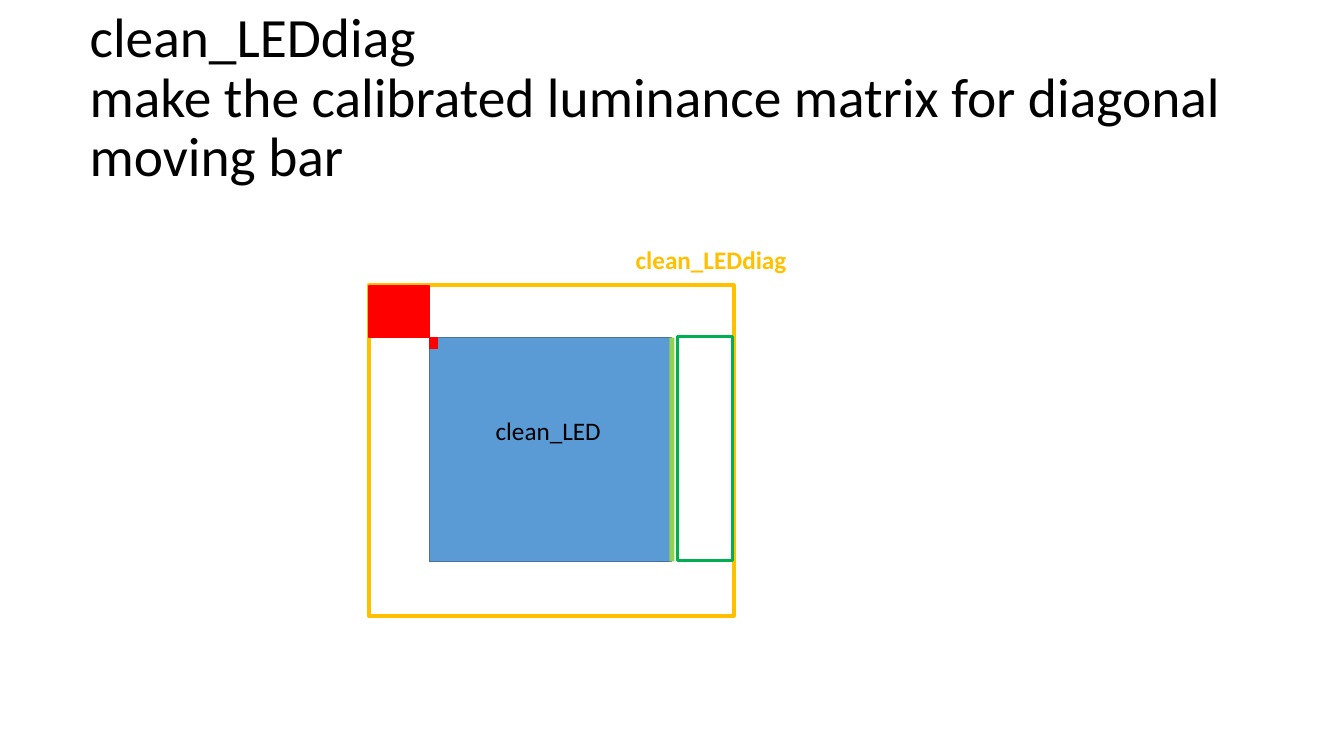
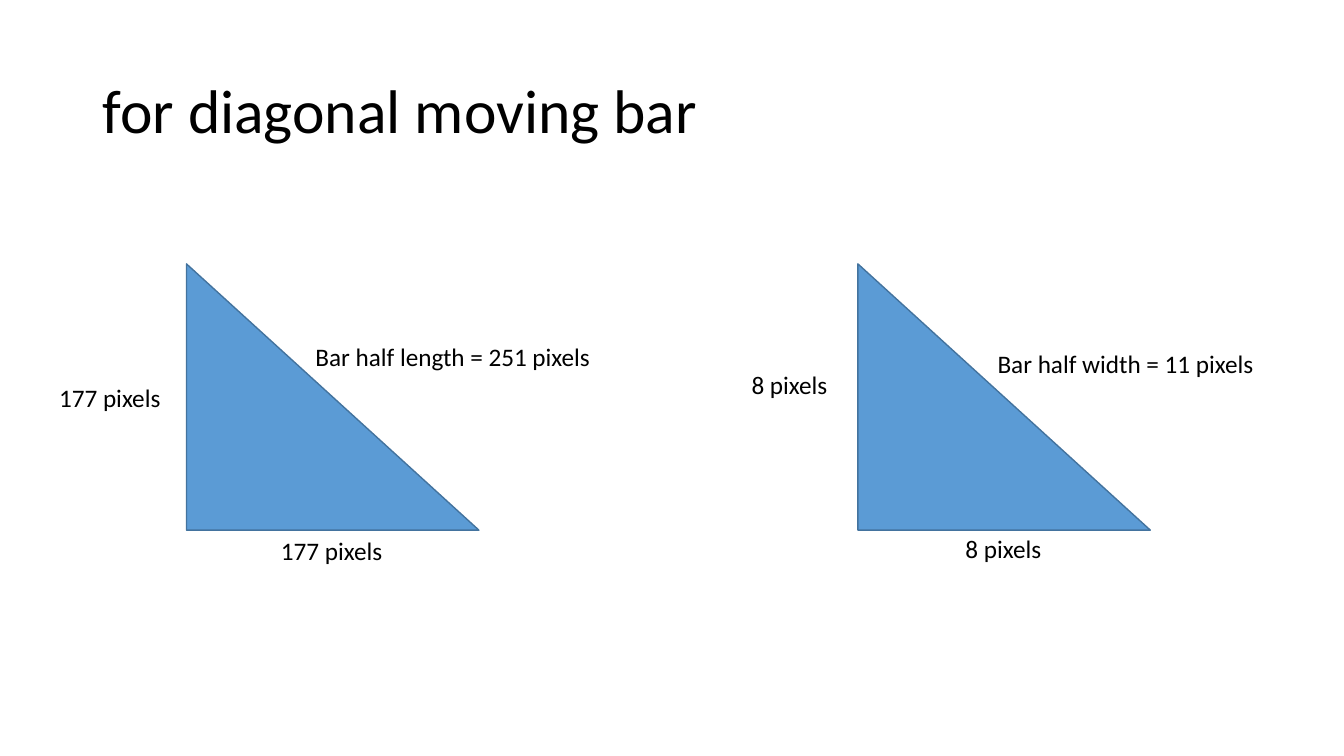
"""Builds two slides on the luminance matrix for a diagonal moving bar."""
from pptx import Presentation
from pptx.dml.color import RGBColor
from pptx.enum.shapes import MSO_SHAPE
from pptx.enum.text import MSO_ANCHOR, MSO_AUTO_SIZE
from pptx.util import Cm, Pt

RECTANGLE = MSO_SHAPE.RECTANGLE
TRIANGLE = MSO_SHAPE.RIGHT_TRIANGLE
MIDDLE = MSO_ANCHOR.MIDDLE
GROW = MSO_AUTO_SIZE.SHAPE_TO_FIT_TEXT
FONT = "Calibri"
COLORS = {
    "black": "000000",
    "blue": "5B9BD5",
    "navy": "43739E",
    "amber": "FFC000",
    "red": "FF0000",
    "lime": "92D050",
    "green": "00B050",
}


def color(name):
    return RGBColor.from_string(COLORS[name])


class Board:
    def __init__(self):
        self.deck = Presentation()
        self.deck.slide_width = Cm(33.87)
        self.deck.slide_height = Cm(19.05)
        self.page = None

    def new_page(self):
        self.page = self.deck.slides.add_slide(self.deck.slide_layouts[6])

    def add_span(self, para, text, size, ink, bold=False):
        span = para.add_run()
        span.text = text
        span.font.name = FONT
        span.font.size = Pt(size)
        span.font.bold = bold
        span.font.color.rgb = color(ink)

    def title(self, left, top, lines, size):
        box = self.page.shapes.add_textbox(Cm(left), Cm(top), Cm(29.21), Cm(3.68))
        frame = box.text_frame
        frame.word_wrap = True
        frame.vertical_anchor = MIDDLE
        para = frame.paragraphs[0]
        para.line_spacing = 0.9
        for index, line in enumerate(lines):
            if index:
                para.add_line_break()
            self.add_span(para, line, size, "black")

    def label(self, left, top, width, text, ink="black", bold=False):
        box = self.page.shapes.add_textbox(Cm(left), Cm(top), Cm(width), Cm(1.02))
        frame = box.text_frame
        frame.word_wrap = False
        frame.auto_size = GROW
        self.add_span(frame.paragraphs[0], text, 18, ink, bold)

    def shape(self, kind, left, top, width, height, fill=None, line=None, weight=1):
        box = self.page.shapes.add_shape(kind, Cm(left), Cm(top), Cm(width), Cm(height))
        box.shadow.inherit = False
        if fill:
            box.fill.solid()
            box.fill.fore_color.rgb = color(fill)
        else:
            box.fill.background()
        if line:
            box.line.color.rgb = color(line)
            box.line.width = Pt(weight)
        else:
            box.line.fill.background()


board = Board()

board.new_page()
board.title(2.01, 0.66, ["clean_LEDdiag", "make the calibrated luminance matrix for diagonal moving bar"], 39.6)
led_left, led_top, led_height = 10.82, 8.51, 5.64
frame_left = 9.3
board.shape(RECTANGLE, led_left, led_top, 6.1, led_height, "blue", "navy")
board.shape(RECTANGLE, frame_left, 7.19, 9.19, 8.33, line="amber", weight=3)
board.label(12.24, 10.34, 3.2, "clean_LED")
board.label(15.77, 6.02, 4.34, "clean_LEDdiag", "amber", True)
board.shape(RECTANGLE, led_left, led_top, 0.2, 0.28, "red", "red")
board.shape(RECTANGLE, frame_left, 7.21, led_left - frame_left, 1.3, "red", "red")
board.shape(RECTANGLE, 16.87, led_top, 0.13, led_height, "lime")
board.shape(RECTANGLE, 17.07, 8.48, 1.4, led_height, line="green", weight=2.25)

board.new_page()
board.title(2.34, 1.02, ["for diagonal moving bar"], 44)
for triangle_left in (4.7, 21.62):
    board.shape(TRIANGLE, triangle_left, 6.65, 7.37, 6.71, "blue", "navy")
for left, top, width, text in (
    (7.7, 8.48, 7.52, "Bar half length = 251 pixels"),
    (1.24, 9.5, 3.1, "177 pixels"),
    (6.83, 13.36, 3.1, "177 pixels"),
    (24.89, 8.66, 7.04, "Bar half width = 11 pixels"),
    (18.69, 9.17, 2.44, "8 pixels"),
    (24.08, 13.31, 2.44, "8 pixels"),
):
    board.label(left, top, width, text)

board.deck.save("out.pptx")
